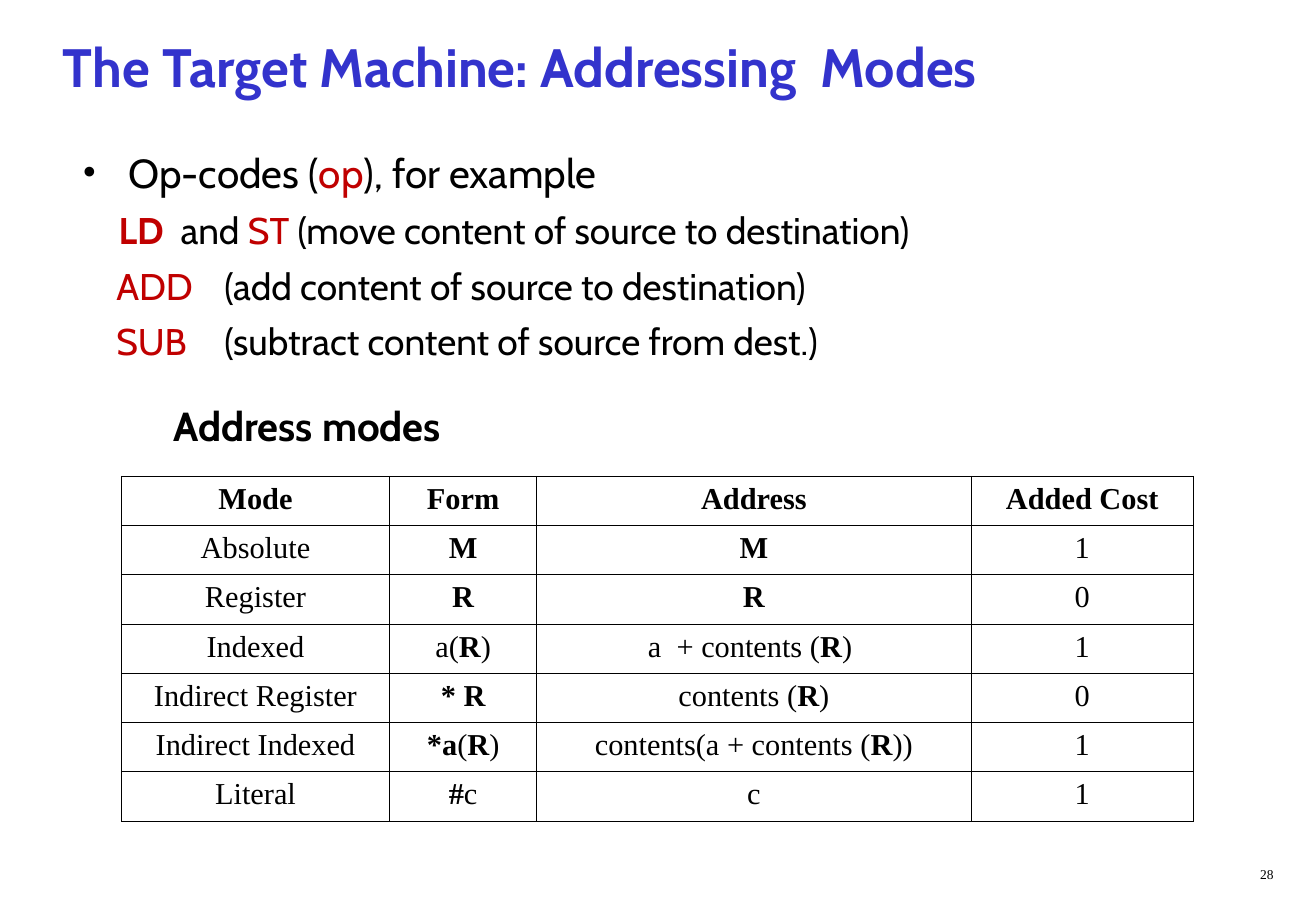
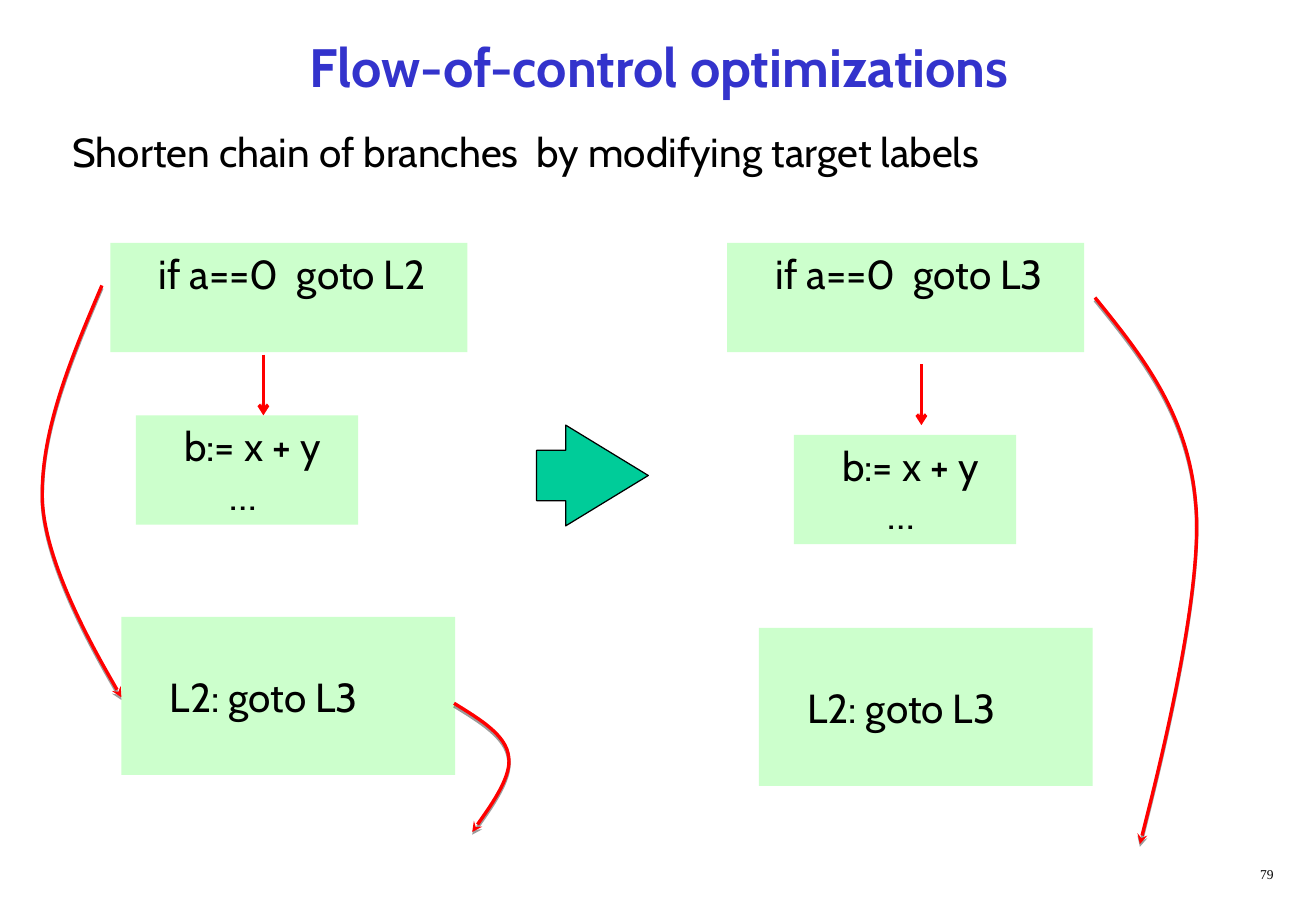
from lxml import etree
from pptx import Presentation
from pptx import util as u
from pptx.dml.color import RGBColor
from pptx.enum import shapes, text
from pptx.oxml import ns

IN = u.Inches
LEFT, MID, RIGHT = text.PP_ALIGN.LEFT, text.PP_ALIGN.CENTER, text.PP_ALIGN.RIGHT
TOP, CORE = text.MSO_ANCHOR.TOP, text.MSO_ANCHOR.MIDDLE
RECT = shapes.MSO_SHAPE.RECTANGLE
SERIF = "Times New Roman"


def hue(code):
    return RGBColor.from_string(code)


def node(root, tag, **attrs):
    """Append a drawing element with the given attributes."""
    return etree.SubElement(root, ns.qn(tag), {k: str(v) for k, v in attrs.items()})


def write(para, txt, size=24, font="Cabin", color="000000", mark="C00000",
          align=LEFT, left=0, first=0, before=0, bullet=None, tab=None):
    """Fill a paragraph; |bars| make bold and ~tildes~ take the mark colour."""
    para.alignment = align
    para.space_before = u.Pt(before)
    props = para._p.get_or_add_pPr()
    props.set("marL", str(IN(left)))
    props.set("indent", str(IN(first)))
    if bullet:
        node(props, "a:buFont", typeface=SERIF)
        node(props, "a:buChar", char=bullet)
    else:
        node(props, "a:buNone")
    if tab:
        node(node(props, "a:tabLst"), "a:tab", pos=IN(tab), algn="l")
    for i, part in enumerate(txt.split("|")):
        for j, bit in enumerate(part.split("~")):
            if bit:
                run = para.add_run()
                run.text = bit
                run.font.name, run.font.size = font, u.Pt(size)
                run.font.bold = i % 2 == 1
                run.font.color.rgb = hue(mark if j % 2 else color)


class Deck:
    blue, red, mint, teal, black = "3333CC", "FF0000", "CCFFCC", "00CC99", "000000"

    def __init__(self):
        self.prs = Presentation()
        self.prs.slide_width, self.prs.slide_height = IN(10.84), IN(7.5)

    def page(self, title, num, align=LEFT):
        """Start a slide with its title and page number."""
        self.slide = self.prs.slides.add_slide(self.prs.slide_layouts[6])
        self.items = self.slide.shapes
        x, wide = (0.42, 10.25) if align == LEFT else (0.48, 9.9)
        self.label(x, 0.17, wide, 0.75, f"|{title}|", anchor=CORE,
                   size=32, color=self.blue, align=align)
        self.label(8.33, 7.08, 2.26, 0.25, num, size=8, font=SERIF, align=RIGHT)

    def fill(self, shape, lines, anchor=TOP, **look):
        """Write lines, each a string or a (string, format) pair."""
        frame = shape.text_frame
        frame.word_wrap, frame.vertical_anchor = True, anchor
        for i, line in enumerate(lines):
            txt, more = (line, {}) if isinstance(line, str) else line
            para = frame.add_paragraph() if i else frame.paragraphs[0]
            write(para, txt, **{**look, **more})

    def label(self, x, y, w, h, *lines, **look):
        self.fill(self.items.add_textbox(IN(x), IN(y), IN(w), IN(h)), lines, **look)

    def shape(self, kind, x, y, w, h, color):
        item = self.items.add_shape(kind, IN(x), IN(y), IN(w), IN(h))
        item.shadow.inherit = False
        item.fill.solid()
        item.fill.fore_color.rgb = hue(color)
        item.line.fill.background()
        return item

    def block(self, x, y, w, h, *lines, anchor=TOP):
        item = self.shape(RECT, x, y, w, h, self.mint)
        self.fill(item, lines, anchor=anchor, left=0.3)

    def big(self, x, y, w, h):
        item = self.shape(shapes.MSO_SHAPE.RIGHT_ARROW, x, y, w, h, self.teal)
        item.adjustments[1] = 0.82
        item.line.color.rgb = hue(self.black)
        item.line.width = u.Pt(0.75)

    def ink(self, item, head):
        """Draw a line in red with an arrowhead at its end."""
        item.line.color.rgb = hue(self.red)
        item.line.width = u.Pt(2)
        node(item.line._get_or_add_ln(), "a:tailEnd", type=head)
        return node(item._element.spPr, "a:effectLst")

    def arrow(self, x, y, size=0.5):
        item = self.items.add_connector(shapes.MSO_CONNECTOR.STRAIGHT,
                                        IN(x), IN(y), IN(x), IN(y + size))
        self.ink(item, "arrow")

    def curve(self, *points):
        """Draw an arrow along joined cubic curves: a start, then three points each."""
        dots = [(round(x * 100), round(y * 100)) for x, y in points]
        pen = self.items.build_freeform(*dots[0], scale=IN(0.01))
        pen.add_line_segments(dots[1:], close=False)
        item = pen.convert_to_shape()
        route = item._element.spPr.find(".//" + ns.qn("a:path"))
        legs = route.findall(ns.qn("a:lnTo"))
        for k in range(0, len(legs), 3):
            bend = node(route, "a:cubicBezTo")
            for leg in legs[k:k + 3]:
                bend.append(leg[0])
                route.remove(leg)
        item.fill.background()
        glow = node(self.ink(item, "stealth"), "a:outerShdw", blurRad=0,
                    dist=u.Pt(1.6), dir=5400000, rotWithShape=0)
        node(node(glow, "a:srgbClr", val=self.black), "a:alpha", val=38000)

    def table(self, x, y, high, cols, rows):
        grid = self.items.add_table(len(rows), len(cols), IN(x), IN(y),
                                    IN(sum(cols)), IN(high)).table
        grid.first_row = grid.horz_banding = False
        for col, wide in zip(grid.columns, cols):
            col.width = IN(wide)
        for r, row in enumerate(rows):
            for c, txt in enumerate(row):
                cell = grid.cell(r, c)
                write(cell.text_frame.paragraphs[0], txt, size=18, font=SERIF, align=MID)
                self.frame(cell)

    def frame(self, cell):
        """Give a cell thin black borders and no fill."""
        props = cell._tc.get_or_add_tcPr()
        for side in "LRTB":
            edge = node(props, f"a:ln{side}", w=u.Pt(0.45))
            node(node(edge, "a:solidFill"), "a:srgbClr", val=self.black)
        cell.fill.background()


def modes(deck):
    deck.page("The Target Machine: Addressing  Modes", "28")
    code = dict(size=22, before=6.5, first=0.61, tab=2)
    deck.label(0.25, 1.17, 10.5, 2,
               ("Op-codes (~op~), for example",
                dict(left=0.71, first=-0.38, before=6, bullet="•")),
               ("|~LD~|  and ~ST~ (move content of source to destination)",
                {**code, "first": 0.63}),
               ("~ADD~\t(add content of source to destination)", code),
               ("~SUB~\t(subtract content of source from dest.)", code))
    deck.label(1.33, 3.25, 2.75, 0.5, "|Address modes|")
    deck.table(1, 3.92, 2.84, (2.21, 1.21, 3.58, 1.83), (
        ("|Mode|", "|Form|", "|Address|", "|Added Cost|"),
        ("Absolute", "|M|", "|M|", "1"),
        ("Register", "|R|", "|R|", "0"),
        ("Indexed", "a(|R|)", "a  + contents (|R|) ", "1"),
        ("Indirect Register", "|* R|", "contents (|R|)", "0"),
        ("Indirect Indexed", "|*a|(|R|)", "contents(a + contents (|R|))", "1"),
        ("Literal", "|#|c", "c", "1")))


def flow(deck):
    deck.page("Flow-of-control optimizations", "79", align=MID)
    deck.label(0.5, 1, 10.33, 0.9, "Shorten chain of branches  by modifying target labels")
    for goal, test, step, jump, link in (
            ("L2", (0.91, 2), (1.12, 3.42), (1, 5.08), (2.17, 2.92)),
            ("L3", (5.99, 2), (6.54, 3.58), (6.25, 5.17), (7.59, 3))):
        deck.block(*test, 2.94, 0.9, f"if a==0  goto {goal}")
        deck.block(*step, 1.83, 0.9, "b:= x + y", ("…", dict(left=0.67)))
        deck.block(*jump, 2.75, 1.3, "L2: goto L3", anchor=CORE)
        deck.arrow(*link)
    deck.big(4.42, 3.5, 0.92, 0.83)
    deck.curve((0.84, 2.35), (0.58, 2.96), (0.33, 3.56), (0.35, 4.13),
               (0.38, 4.69), (1, 5.74), (1, 5.74))
    deck.curve((3.74, 5.79), (3.95, 5.92), (4.17, 6.05), (4.19, 6.23),
               (4.22, 6.4), (3.89, 6.85), (3.89, 6.85))
    deck.curve((9.02, 2.45), (9.4, 2.92), (9.79, 3.4), (9.85, 4.15),
               (9.92, 4.9), (9.39, 6.95), (9.39, 6.95))


def main():
    deck = Deck()
    modes(deck)
    flow(deck)
    deck.prs.save("out.pptx")


if __name__ == "__main__":
    main()
